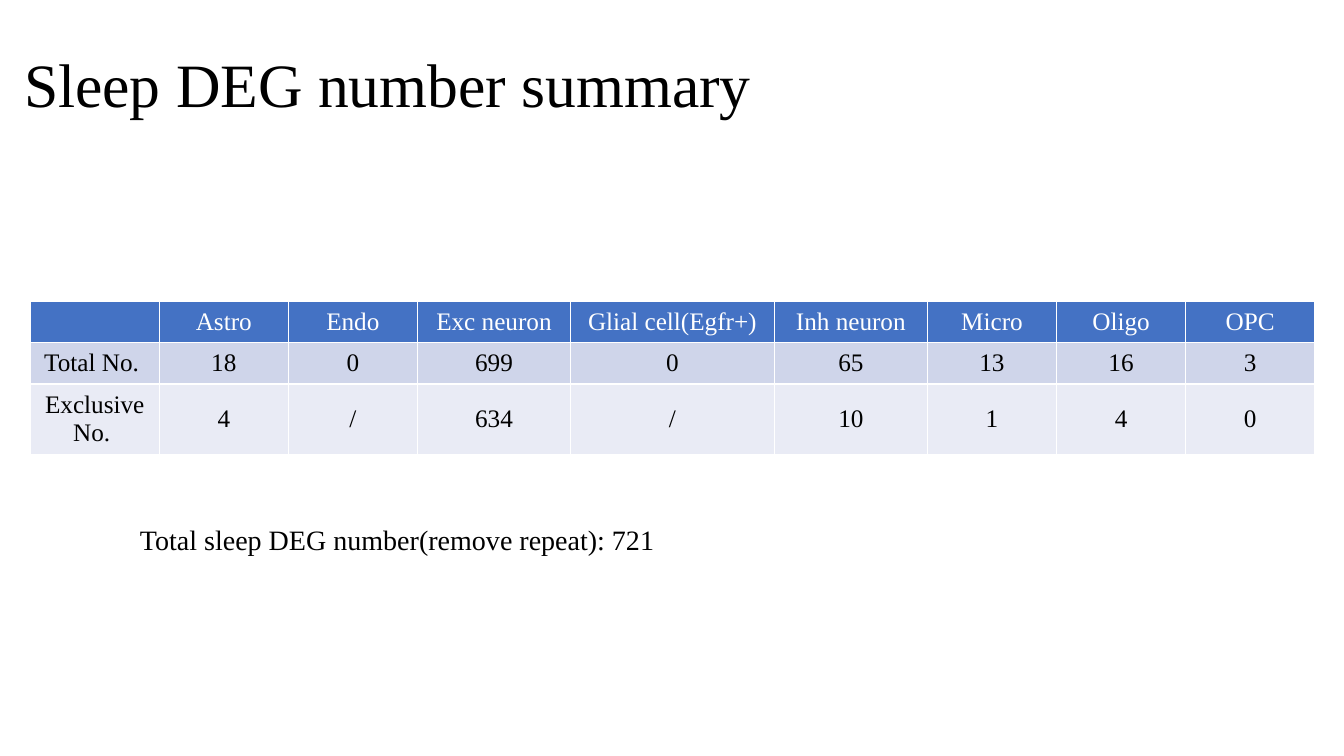
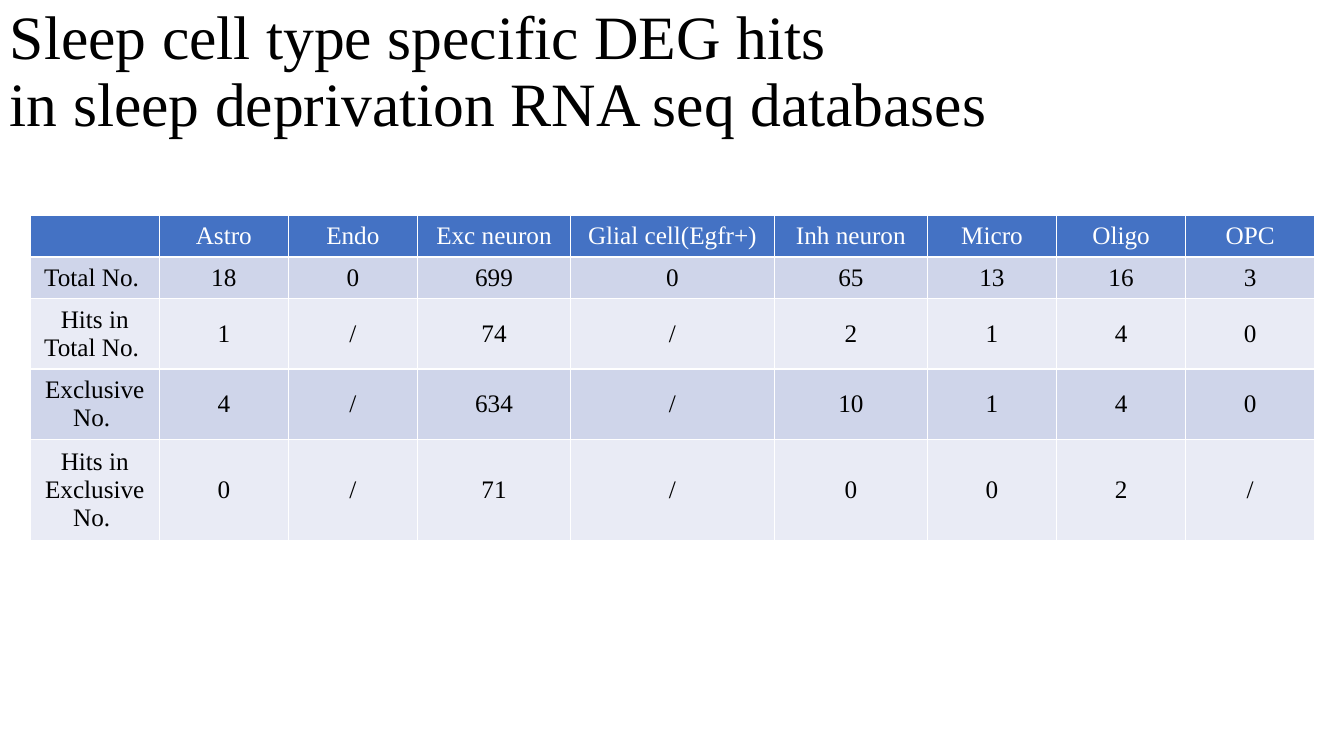
from lxml import etree
from pptx import Presentation
from pptx.dml.color import RGBColor
from pptx.enum import text
from pptx.oxml import ns
from pptx.util import Pt

EMU_PER_PX = 9144  # 100 px to the inch
FONT = "Times New Roman"
BLACK, WHITE = "000000", "FFFFFF"
HEADER_FILL = "4472C4"
BAND_FILLS = ("CFD5EA", "E9EBF5")
COLUMN_WIDTHS = (128, 128, 128, 152, 202, 152, 128, 128, 128)
TABLE_LEFT = 30
TITLE_SIZE = (1150, 145)

# Table rows: height, then the cells
HEADER = (41, ("", "Astro", "Endo", "Exc neuron", "Glial cell(Egfr+)",
               "Inh neuron", "Micro", "Oligo", "OPC"))
TOTAL = (41, ("Total No. ", "18", "0", "699", "0", "65", "13", "16", "3"))
TOTAL_HITS = (66, ("Hits in Total No. ", "1", "/", "74", "/", "2", "1", "4", "0"))
EXCLUSIVE = (66, ("Exclusive No. ", "4", "/", "634", "/", "10", "1", "4", "0"))
EXCLUSIVE_HITS = (93, ("Hits in Exclusive No. ", "0", "/", "71", "/", "0", "0", "2", "/"))


def px(length):
    return length * EMU_PER_PX


def color(hex_string):
    return RGBColor.from_string(hex_string)


def write(frame, words, size, font_color=BLACK, **paragraph_format):
    paragraph = frame.paragraphs[0]
    paragraph.text = words
    for name, value in paragraph_format.items():
        setattr(paragraph, name, value)
    for run in paragraph.runs:
        for name, value in {"name": FONT, "size": Pt(size)}.items():
            setattr(run.font, name, value)
        run.font.color.rgb = color(font_color)


def add_text(slide, box, words, size, anchor=text.MSO_ANCHOR.TOP, **paragraph_format):
    frame = slide.shapes.add_textbox(*map(px, box)).text_frame
    for name, value in {"word_wrap": True, "vertical_anchor": anchor}.items():
        setattr(frame, name, value)
    write(frame, words, size, **paragraph_format)


def add_title(slide, left, top, words):
    add_text(slide, (left, top, *TITLE_SIZE), words, 44,
             text.MSO_ANCHOR.MIDDLE, line_spacing=0.9)


def add_borders(cell):
    properties = cell._tc.get_or_add_tcPr()
    for position, side in enumerate(("lnL", "lnR", "lnT", "lnB")):
        line = etree.Element(ns.qn(f"a:{side}"), w=str(Pt(1)))
        fill = etree.SubElement(line, ns.qn("a:solidFill"))
        etree.SubElement(fill, ns.qn("a:srgbClr"), val=WHITE)
        properties.insert(position, line)


def add_count_table(slide, left, top, rows):
    width, height = sum(COLUMN_WIDTHS), sum(row[0] for row in rows)
    table = slide.shapes.add_table(len(rows), len(COLUMN_WIDTHS),
                                   *map(px, (left, top, width, height))).table
    for column, column_width in zip(table.columns, COLUMN_WIDTHS):
        column.width = px(column_width)
    for index, (row_height, values) in enumerate(rows):
        table.rows[index].height = px(row_height)
        is_header = index == 0
        fill = HEADER_FILL if is_header else BAND_FILLS[(index - 1) % 2]
        for cell, value in zip(table.rows[index].cells, values):
            cell.fill.solid()
            cell.fill.fore_color.rgb = color(fill)
            cell.vertical_anchor = text.MSO_ANCHOR.MIDDLE
            write(cell.text_frame, value, 18, WHITE if is_header else BLACK,
                  alignment=text.PP_ALIGN.CENTER)
            add_borders(cell)


def build_summary(slide):
    add_title(slide, 14, 14, "Sleep DEG number summary")
    add_count_table(slide, TABLE_LEFT, 299, (HEADER, TOTAL, EXCLUSIVE))
    # Total below the table
    add_text(slide, (129, 513, 1076, 44),
             "Total sleep DEG number(remove repeat): 721", 20)


def build_hits(slide):
    add_title(slide, 0, 0, "Sleep cell type specific DEG hits\n"
                           "in sleep deprivation RNA seq databases")
    add_count_table(slide, TABLE_LEFT, 214,
                    (HEADER, TOTAL, TOTAL_HITS, EXCLUSIVE, EXCLUSIVE_HITS))


def main():
    presentation = Presentation()
    presentation.slide_width, presentation.slide_height = px(1333), px(750)
    blank = presentation.slide_layouts[6]
    for build in (build_summary, build_hits):
        build(presentation.slides.add_slide(blank))
    presentation.save("out.pptx")


if __name__ == "__main__":
    main()
